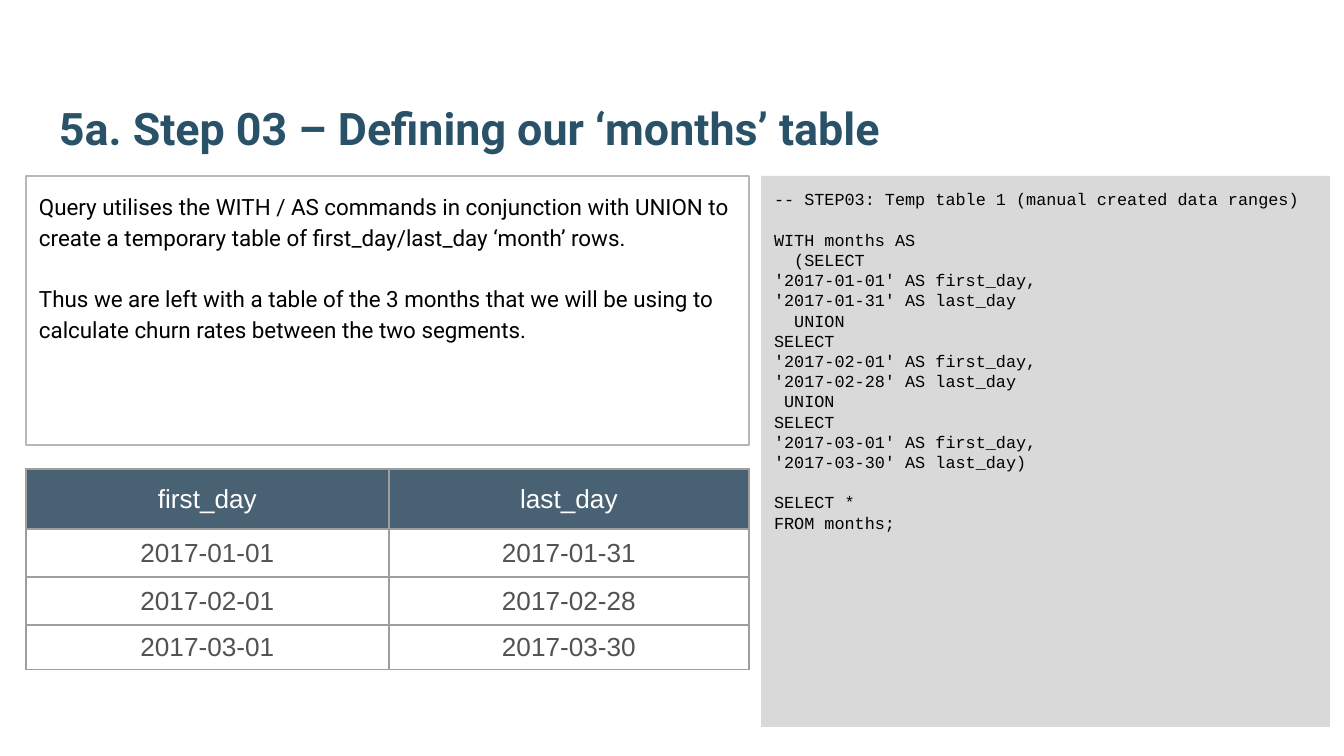
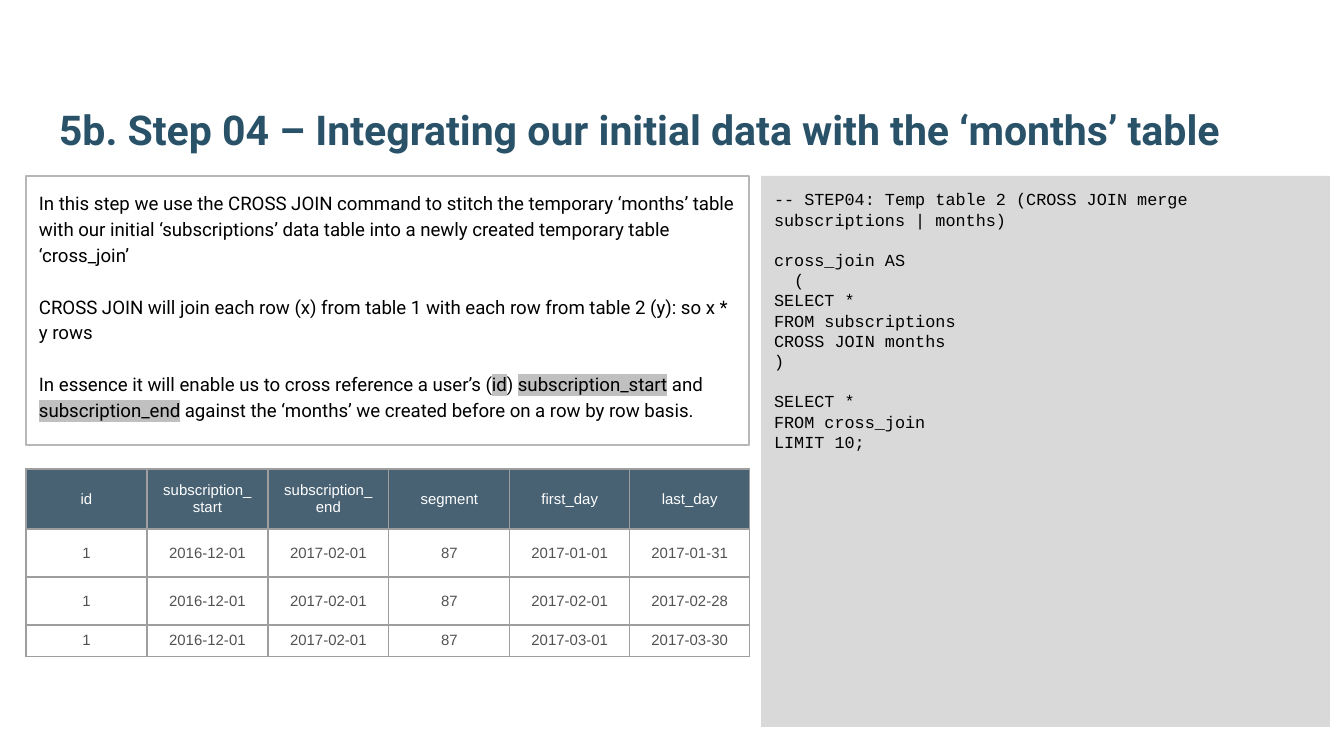
import pptx
import pptx.dml.color
import pptx.enum.shapes
import pptx.enum.text
import pptx.oxml
import pptx.oxml.ns
import pptx.util

COLOURS = {
    "title": "295269", "text": "000000", "code_panel": "D9D9D9",
    "note_line": "B7B7B7", "highlight": "C0C0C0", "header_fill": "204056",
    "header_text": "FFFFFF", "cell_text": "525252", "cell_line": "9E9E9E",
}

# A run is (text, highlighted); a block is a list of paragraphs; a gap parts blocks.
STEPS = [
    {
        "title": "5a. Step 03 – Defining our ‘months’ table",
        "title_size": 24,
        "note_size": 12,
        "note_gap": 16.5,
        "notes": [
            [("Query utilises the WITH / AS commands in conjunction with UNION to create "
              "a temporary table of first_day/last_day ‘month’ rows.", False)],
            [("Thus we are left with a table of the 3 months that we will be using to "
              "calculate churn rates between the two segments.", False)],
        ],
        "code": [
            ["-- STEP03: Temp table 1 (manual created data ranges)"],
            ["WITH months AS",
             "  (SELECT",
             "'2017-01-01' AS first_day,",
             "'2017-01-31' AS last_day",
             "  UNION",
             "SELECT",
             "'2017-02-01' AS first_day,",
             "'2017-02-28' AS last_day",
             " UNION",
             "SELECT",
             "'2017-03-01' AS first_day,",
             "'2017-03-30' AS last_day)"],
            ["SELECT *",
             "FROM months;"],
        ],
        "table_size": 14,
        "columns": [363, 360],
        "last_row": 42,
        "table": [
            ["first_day", "last_day"],
            ["2017-01-01", "2017-01-31"],
            ["2017-02-01", "2017-02-28"],
            ["2017-03-01", "2017-03-30"],
        ],
    },
    {
        "title": "5b. Step 04 – Integrating our initial data with the ‘months’ table",
        "title_size": 22,
        "note_size": 10,
        "note_gap": 13.8,
        "notes": [
            [("In this step we use the CROSS JOIN command to stitch the temporary ‘months’ "
              "table with our initial ‘subscriptions’ data table into a newly created "
              "temporary table ‘cross_join’", False)],
            [("CROSS JOIN will join each row (x) from table 1 with each row from table 2 "
              "(y): so x * y rows", False)],
            [("In essence it will enable us to cross reference a user’s (", False),
             ("id", True), (") ", False), ("subscription_start", True),
             (" and ", False), ("subscription_end", True),
             (" against the ‘months’ we created before on a row by row basis.", False)],
        ],
        "code": [
            ["-- STEP04: Temp table 2 (CROSS JOIN merge subscriptions | months)"],
            ["cross_join AS",
             "  (",
             "SELECT *",
             "FROM subscriptions",
             "CROSS JOIN months",
             ")"],
            ["SELECT *",
             "FROM cross_join",
             "LIMIT 10;"],
        ],
        "table_size": 8,
        "columns": [121] * 4 + [120] * 2,
        "last_row": 30,
        "table": [
            ["id", "subscription_start", "subscription_end", "segment",
             "first_day", "last_day"],
            ["1", "2016-12-01", "2017-02-01", "87", "2017-01-01", "2017-01-31"],
            ["1", "2016-12-01", "2017-02-01", "87", "2017-02-01", "2017-02-28"],
            ["1", "2016-12-01", "2017-02-01", "87", "2017-03-01", "2017-03-30"],
        ],
    },
]

# Layout in px
SLIDE_SIZE = (1344, 756)
TITLE_BOX = (46, 43, 1253, 124)
CODE_BOX = (761, 176, 569, 551)
NOTE_BOX = (26, 176, 723, 269)
TABLE_AT = (26, 469)
UPPER_ROWS = [60, 48, 48]
INSET = 13
CODE_SIZE, CODE_GAP = 9, 10.8


def px(length):
    return pptx.util.Emu(round(length * 9144000 / 1344))


def rgb(name):
    return pptx.dml.color.RGBColor.from_string(COLOURS[name])


def xml(markup):
    return pptx.oxml.parse_xml(markup.replace(
        " ", f' {pptx.oxml.ns.nsdecls("a")} ', 1))


def add_run(paragraph, text, font, size, colour, bold=False, highlighted=False):
    run = paragraph.add_run()
    run.text = text
    run.font.name = font
    run.font.size = pptx.util.Pt(size)
    run.font.bold = bold
    run.font.color.rgb = rgb(colour)
    if highlighted:
        fill = run.font._element.find(pptx.oxml.ns.qn("a:solidFill"))
        fill.addnext(xml(f'<a:highlight ><a:srgbClr val="{COLOURS["highlight"]}"/></a:highlight>'))


def prepare_frame(shape, anchor):
    frame = shape.text_frame
    frame.word_wrap = True
    frame.vertical_anchor = anchor
    frame.margin_left = frame.margin_right = px(INSET)
    frame.margin_top = frame.margin_bottom = px(INSET)
    return frame


def add_title(slide, step):
    box = slide.shapes.add_textbox(*map(px, TITLE_BOX))
    frame = prepare_frame(box, pptx.enum.text.MSO_ANCHOR.BOTTOM)
    add_run(frame.paragraphs[0], step["title"], "Roboto", step["title_size"], "title", bold=True)


def add_panel(slide, box, blocks, font, size, gap, spacing, fill=None, line=None):
    panel = slide.shapes.add_shape(
        pptx.enum.shapes.MSO_SHAPE.RECTANGLE, *map(px, box))
    panel.shadow.inherit = False
    if fill:
        panel.fill.solid()
        panel.fill.fore_color.rgb = rgb(fill)
    else:
        panel.fill.background()
    if line:
        panel.line.color.rgb = rgb(line)
        panel.line.width = pptx.util.Pt(0.75)
    else:
        panel.line.fill.background()

    frame = prepare_frame(panel, pptx.enum.text.MSO_ANCHOR.TOP)
    paragraph = None
    for block in blocks:
        for position, runs in enumerate(block):
            first = paragraph is None
            paragraph = frame.paragraphs[0] if first else frame.add_paragraph()
            paragraph.alignment = pptx.enum.text.PP_ALIGN.LEFT
            paragraph.line_spacing = spacing
            if position == 0 and not first:
                paragraph.space_before = pptx.util.Pt(gap)
            for text, highlighted in runs:
                add_run(paragraph, text, font, size, "text", highlighted=highlighted)


def style_cell(cell, text, size, is_header):
    properties = cell._tc.get_or_add_tcPr()
    for side in ("lnL", "lnR", "lnT", "lnB"):
        properties.append(xml(
            f'<a:{side} w="9525"><a:solidFill><a:srgbClr val="{COLOURS["cell_line"]}"/>'
            f'</a:solidFill></a:{side}>'))
    if is_header:
        cell.fill.solid()
        cell.fill.fore_color.rgb = rgb("header_fill")
        colour = properties.find(".//" + pptx.oxml.ns.qn("a:solidFill") + "[last()]")
        colour = properties.findall(pptx.oxml.ns.qn("a:solidFill"))[0][0]
        colour.append(xml('<a:alpha val="82000"/>'))
    else:
        cell.fill.background()
    cell.vertical_anchor = pptx.enum.text.MSO_ANCHOR.MIDDLE
    paragraph = cell.text_frame.paragraphs[0]
    paragraph.alignment = pptx.enum.text.PP_ALIGN.CENTER
    add_run(paragraph, text, "Arial", size, "header_text" if is_header else "cell_text")


def add_result_table(slide, step):
    rows, widths = step["table"], step["columns"]
    heights = UPPER_ROWS + [step["last_row"]]
    table = slide.shapes.add_table(
        len(rows), len(widths), *map(px, TABLE_AT), px(sum(widths)), px(sum(heights))).table
    table.first_row = table.horz_banding = False
    for column, width in zip(table.columns, widths):
        column.width = px(width)
    for row_index, (row, height) in enumerate(zip(rows, heights)):
        table.rows[row_index].height = px(height)
        for column_index, text in enumerate(row):
            style_cell(table.cell(row_index, column_index), text,
                       step["table_size"], row_index == 0)


def main():
    presentation = pptx.Presentation()
    presentation.slide_width, presentation.slide_height = map(px, SLIDE_SIZE)
    for step in STEPS:
        slide = presentation.slides.add_slide(presentation.slide_layouts[6])
        add_title(slide, step)
        code = [[[(line, False)] for line in block] for block in step["code"]]
        add_panel(slide, CODE_BOX, code, "Courier New", CODE_SIZE, CODE_GAP, 1.0,
                  fill="code_panel")
        notes = [[runs] for runs in step["notes"]]
        add_panel(slide, NOTE_BOX, notes, "Roboto", step["note_size"], step["note_gap"], 1.15,
                  line="note_line")
        add_result_table(slide, step)
    presentation.save("out.pptx")


if __name__ == "__main__":
    main()
